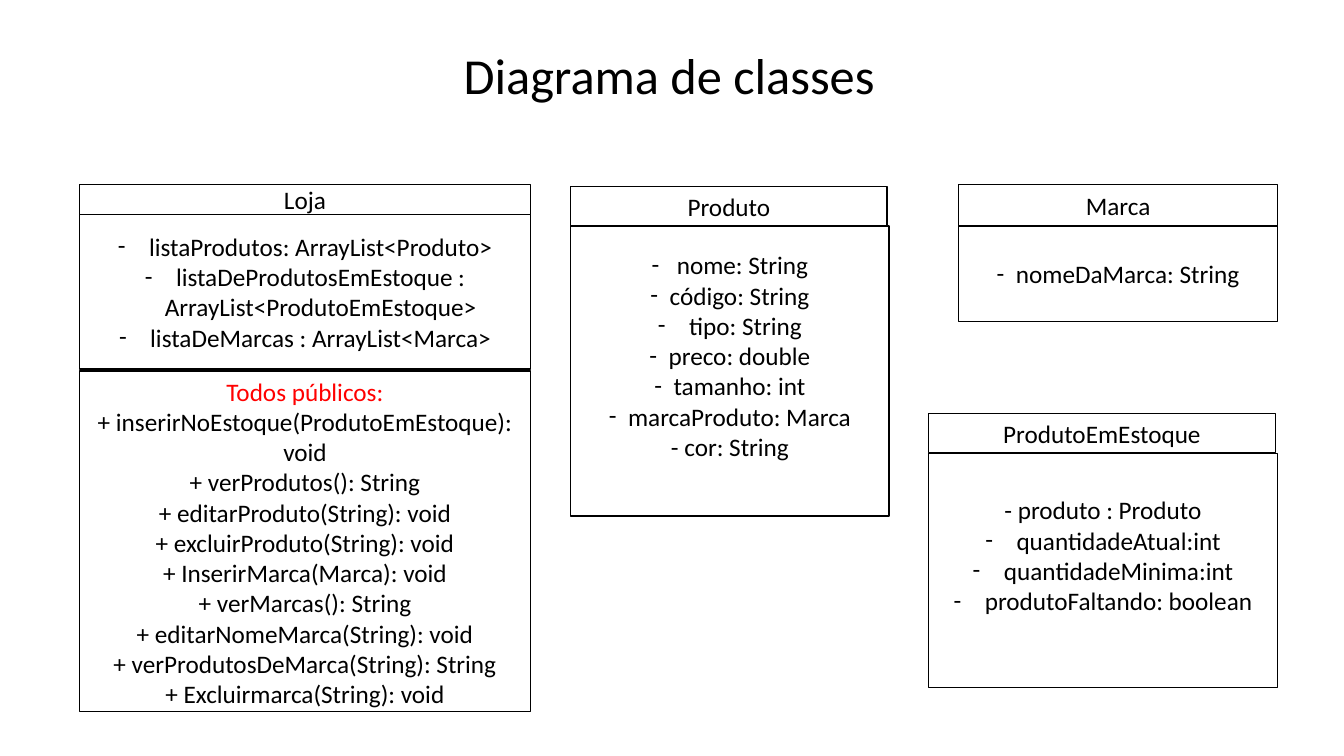
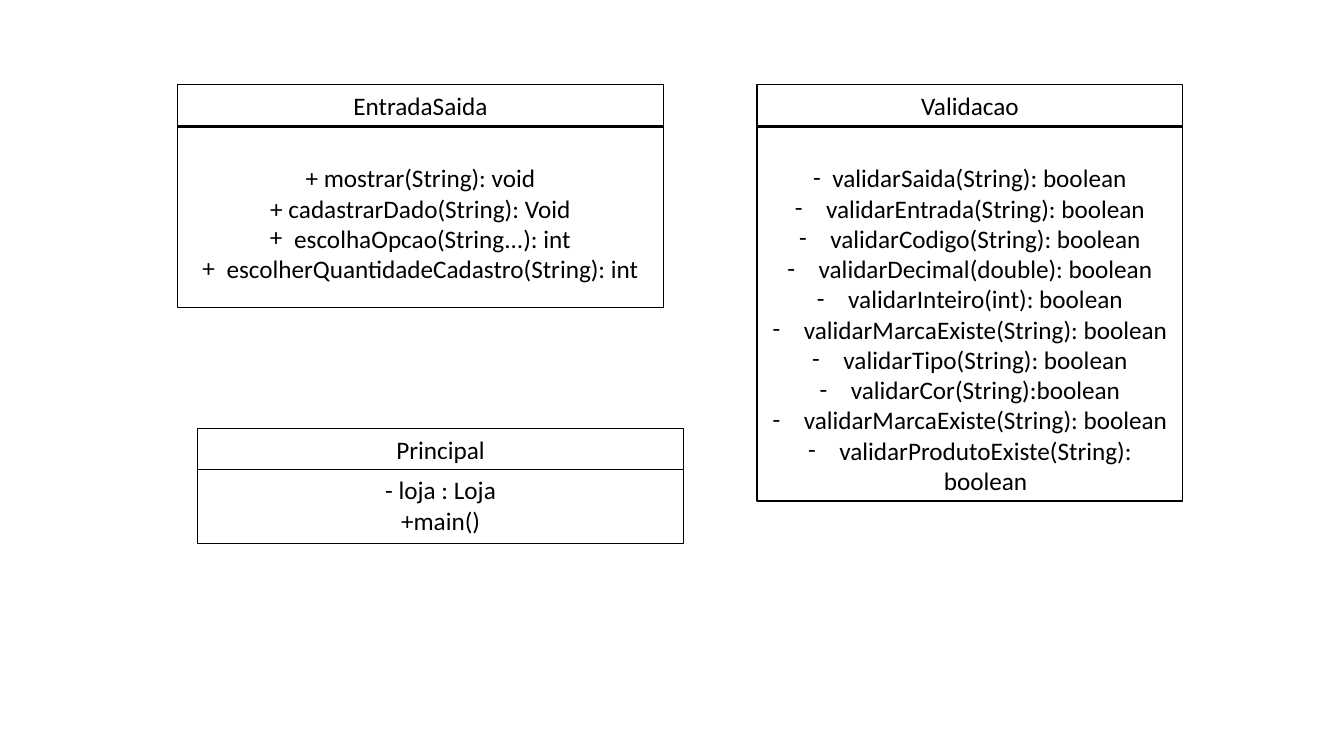
from dataclasses import dataclass

from lxml.etree import SubElement
from pptx import Presentation
from pptx.dml.color import RGBColor
from pptx.enum.shapes import MSO_SHAPE
from pptx.enum.text import MSO_ANCHOR, PP_ALIGN
from pptx.oxml.ns import qn
from pptx.util import Inches, Pt


@dataclass(frozen=True)
class Theme:
    font: str = "Calibri"
    ink: RGBColor = RGBColor(0, 0, 0)
    paper: RGBColor = RGBColor(255, 255, 255)
    alert: RGBColor = RGBColor(255, 0, 0)
    title_size: int = 36
    body_size: int = 18
    outline: float = 1
    inset: float = 0.05
    text_line: float = 0.305


THEME = Theme()
TOP, MIDDLE = MSO_ANCHOR.TOP, MSO_ANCHOR.MIDDLE


def write(frame, lines, size=THEME.body_size, align=PP_ALIGN.CENTER,
          anchor=MIDDLE, lines_above=0, lines_below=0, first_color=THEME.ink):
    """Fill a frame; a line is a string or (bullet, indent in inches, string)."""
    frame.word_wrap = True
    frame.vertical_anchor = anchor
    frame.margin_top = Inches(THEME.inset + lines_above * THEME.text_line)
    frame.margin_bottom = Inches(THEME.inset + lines_below * THEME.text_line)
    for index, line in enumerate(lines):
        paragraph = frame.paragraphs[0] if index == 0 else frame.add_paragraph()
        paragraph.alignment = align
        bullet, indent, text = ("", 0, line) if isinstance(line, str) else line
        if bullet:
            properties = paragraph._p.get_or_add_pPr()
            properties.set("marL", str(Inches(indent)))
            properties.set("indent", str(-Inches(indent)))
            SubElement(properties, qn("a:buFont"), typeface=THEME.font)
            SubElement(properties, qn("a:buChar"), char=bullet)
        run = paragraph.add_run()
        run.text = text
        run.font.name = THEME.font
        run.font.size = Pt(size)
        run.font.color.rgb = first_color if index == 0 else THEME.ink


def add_compartment(slide, left, top, width, height, lines, **text_format):
    box = slide.shapes.add_shape(MSO_SHAPE.RECTANGLE, Inches(left), Inches(top),
                                 Inches(width), Inches(height))
    box.shadow.inherit = False
    box.fill.solid()
    box.fill.fore_color.rgb = THEME.paper
    box.line.color.rgb = THEME.ink
    box.line.width = Pt(THEME.outline)
    write(box.text_frame, lines, **text_format)


# Indents of the hanging markers
WIDE, MEDIUM, NARROW, PLUS = 0.31, 0.25, 0.19, 0.24

loja_attributes = [("-", WIDE, text) for text in (
    "listaProdutos: ArrayList<Produto>",
    "listaDeProdutosEmEstoque : ArrayList<ProdutoEmEstoque>",
    "listaDeMarcas : ArrayList<Marca>",
)]
loja_methods = [
    "Todos públicos:",
    "+ inserirNoEstoque(ProdutoEmEstoque): void",
    "+ verProdutos(): String",
    "+ editarProduto(String): void",
    "+ excluirProduto(String): void",
    "+ InserirMarca(Marca): void",
    "+ verMarcas(): String",
    "+ editarNomeMarca(String): void",
    "+ verProdutosDeMarca(String): String",
    "+ Excluirmarca(String): void",
]
produto_attributes = [
    ("-", MEDIUM, "nome: String"),
    ("-", NARROW, "código: String"),
    ("-", WIDE, "tipo: String"),
    ("-", NARROW, "preco: double"),
    ("-", NARROW, "tamanho: int"),
    ("-", NARROW, "marcaProduto: Marca"),
    "- cor: String",
]
estoque_attributes = ["- produto : Produto"] + [("-", WIDE, text) for text in (
    "quantidadeAtual:int",
    "quantidadeMinima:int",
    "produtoFaltando: boolean",
)]
entrada_methods = [
    "+ mostrar(String): void",
    "+ cadastrarDado(String): Void",
    ("+", PLUS, "escolhaOpcao(String...): int"),
    ("+", PLUS, "escolherQuantidadeCadastro(String): int"),
]
validacao_methods = [("-", NARROW, "validarSaida(String): boolean")] + [
    ("-", WIDE, text) for text in (
        "validarEntrada(String): boolean",
        "validarCodigo(String): boolean",
        "validarDecimal(double): boolean",
        "validarInteiro(int): boolean",
        "validarMarcaExiste(String): boolean",
        "validarTipo(String): boolean",
        "validarCor(String):boolean",
        "validarMarcaExiste(String): boolean",
        "validarProdutoExiste(String): boolean",
    )]

# Class: name, left, top, name width, name height, then its compartments
# Compartment: top, width, height, lines, text format
domain_classes = [
    ("Loja", 0.79, 1.83, 4.47, 0.3, [
        (2.13, 4.47, 1.53, loja_attributes, {}),
        (3.68, 4.47, 3.38, loja_methods,
         {"anchor": TOP, "first_color": THEME.alert}),
    ]),
    ("Produto", 5.66, 1.85, 3.14, 0.39, [
        (2.24, 3.16, 2.88, produto_attributes, {"lines_below": 1}),
    ]),
    ("Marca", 9.51, 1.83, 3.16, 0.41, [
        (2.24, 3.16, 0.95, [("-", NARROW, "nomeDaMarca: String")], {}),
    ]),
    ("ProdutoEmEstoque", 9.21, 4.1, 3.44, 0.39, [
        (4.5, 3.46, 2.32, estoque_attributes, {"lines_below": 1}),
    ]),
]
support_classes = [
    ("EntradaSaida", 1.76, 0.84, 4.82, 0.41, [
        (1.26, 4.82, 1.79, entrada_methods, {"anchor": TOP, "lines_above": 1}),
    ]),
    ("Validacao", 7.51, 0.84, 4.22, 0.41, [
        (1.26, 4.22, 3.71, validacao_methods, {"anchor": TOP, "lines_above": 1}),
    ]),
    ("Principal", 1.96, 4.25, 4.82, 0.41, [
        (4.66, 4.82, 0.73, ["- loja : Loja", "+main()"], {"anchor": TOP}),
    ]),
]

deck = Presentation()
deck.slide_width, deck.slide_height = Inches(13.33), Inches(7.5)

for title, classes in (("Diagrama de classes", domain_classes),
                       (None, support_classes)):
    slide = deck.slides.add_slide(deck.slide_layouts[6])
    if title:
        heading = slide.shapes.add_textbox(Inches(4.5), Inches(0.39),
                                           Inches(4.64), Inches(0.71))
        write(heading.text_frame, [title], size=THEME.title_size,
              align=PP_ALIGN.LEFT, anchor=TOP)
    for name, left, top, width, height, compartments in classes:
        for body_top, body_width, body_height, lines, text_format in compartments:
            add_compartment(slide, left, body_top, body_width, body_height,
                            lines, **text_format)
        add_compartment(slide, left, top, width, height, [name])

deck.save("out.pptx")
